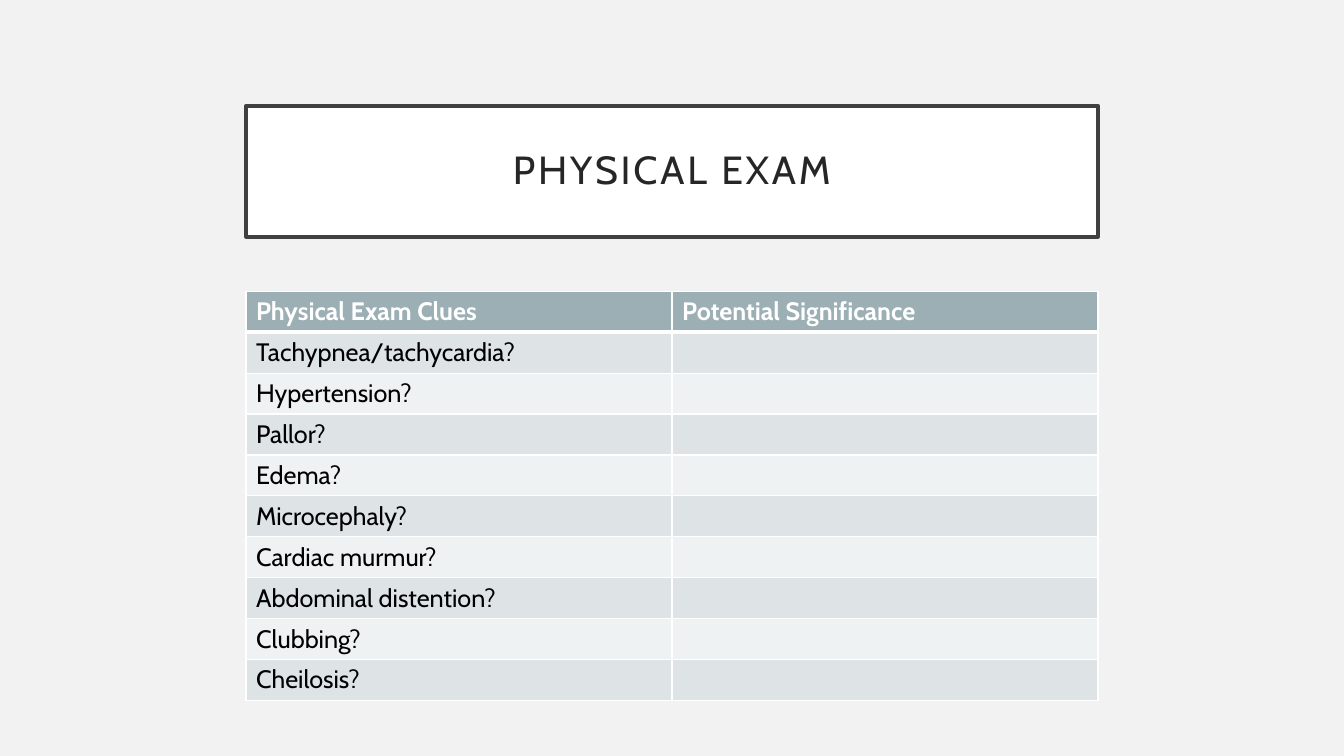
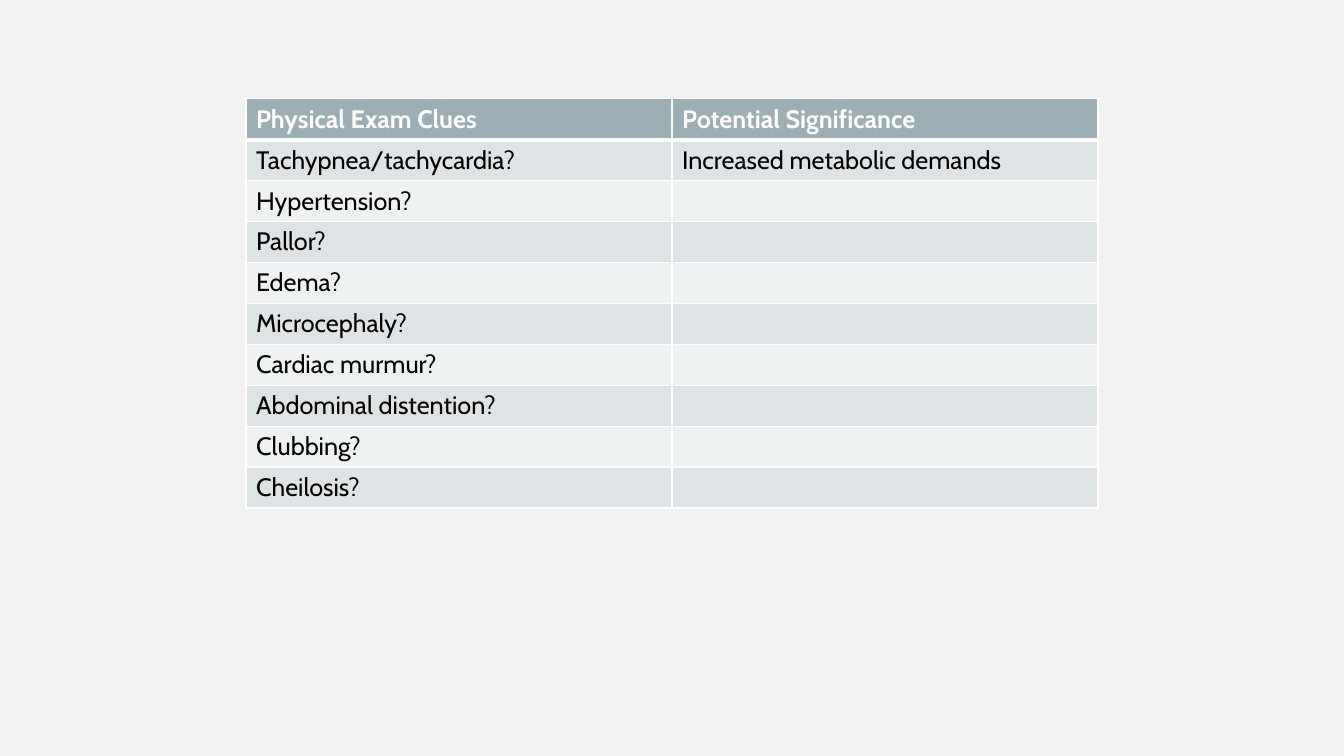
"""Build two slides on physical exam clues and their potential significance."""
from lxml import etree
from pptx import Presentation
from pptx.dml.color import RGBColor
from pptx.enum import text
from pptx.oxml import ns
from pptx.util import Inches, Pt

FONT = "Cabin"
BACKGROUND = RGBColor(0xF2, 0xF2, 0xF2)
WHITE = RGBColor(0xFF, 0xFF, 0xFF)
BLACK = RGBColor(0x00, 0x00, 0x00)
TITLE_INK = RGBColor(0x26, 0x26, 0x26)
TITLE_FRAME = RGBColor(0x40, 0x40, 0x40)
HEADER_FILL = RGBColor(0x9B, 0xAF, 0xB5)
BAND_FILLS = (RGBColor(0xEF, 0xF2, 0xF3), RGBColor(0xDE, 0xE3, 0xE5))

LEFT, WIDTH = Inches(2.44), Inches(8.45)
TABLE_HEIGHT = Inches(4.06)
TITLE_ONLY, BLANK = 5, 6

HEADINGS = ("Physical Exam Clues", "Potential Significance")
CLUES = (
    "Tachypnea/tachycardia?",
    "Hypertension?",
    "Pallor?",
    "Edema?",
    "Microcephaly?",
    "Cardiac murmur?",
    "Abdominal distention?",
    "Clubbing?",
    "Cheilosis?",
)


def set_font(paragraph, size, color, bold=False):
    """Give a paragraph its typeface, size, colour and weight."""
    font = paragraph.font
    font.name, font.size, font.bold = FONT, Pt(size), bold
    font.color.rgb = color


def add_title(slide, wording):
    """Place the framed title box."""
    title = slide.shapes.title
    title.left, title.top = LEFT, Inches(1.05)
    title.width, title.height = WIDTH, Inches(1.3)
    title.fill.solid()
    title.fill.fore_color.rgb = WHITE
    title.line.color.rgb = TITLE_FRAME
    title.line.width = Pt(2.5)
    frame = title.text_frame
    frame.word_wrap = True
    frame.auto_size = text.MSO_AUTO_SIZE.NONE
    frame.vertical_anchor = text.MSO_ANCHOR.MIDDLE
    frame.margin_left = frame.margin_right = Inches(0.2)
    frame.margin_top = frame.margin_bottom = Inches(0.2)
    paragraph = frame.paragraphs[0]
    paragraph.alignment = text.PP_ALIGN.CENTER
    paragraph.line_spacing = 0.9
    run = paragraph.add_run()
    run.text = wording
    run._r.get_or_add_rPr().set("spc", "200")
    set_font(paragraph, 28, TITLE_INK)


def set_borders(cell, top, bottom):
    """Draw white borders round a cell, with 1 pt sides."""
    properties = cell._tc.get_or_add_tcPr()
    for side, width in (("L", 1), ("R", 1), ("T", top), ("B", bottom)):
        border = etree.SubElement(properties, ns.qn(f"a:ln{side}"), w=str(Pt(width)))
        fill = etree.SubElement(border, ns.qn("a:solidFill"))
        etree.SubElement(fill, ns.qn("a:srgbClr"), val=str(WHITE))


def style_cell(cell, row):
    """Style a cell as heading or banded body according to its row."""
    heading = row == 0
    set_borders(cell, top=3 if row == 1 else 1, bottom=3 if heading else 1)
    cell.fill.solid()
    cell.fill.fore_color.rgb = HEADER_FILL if heading else BAND_FILLS[row % 2]
    set_font(cell.text_frame.paragraphs[0], 18, WHITE if heading else BLACK, heading)


def add_clue_table(slide, top, significance):
    """Add the table of clues, filling in the significance known so far."""
    rows = [HEADINGS] + [(clue, significance.get(clue, "")) for clue in CLUES]
    table = slide.shapes.add_table(
        len(rows), len(HEADINGS), LEFT, top, WIDTH, TABLE_HEIGHT
    ).table
    for row, wordings in enumerate(rows):
        for column, wording in enumerate(wordings):
            cell = table.cell(row, column)
            cell.text = wording
            style_cell(cell, row)


def main():
    """Build and save the presentation."""
    deck = Presentation()
    deck.slide_width, deck.slide_height = Inches(13.33), Inches(7.5)
    backdrop = deck.slide_master.background.fill
    backdrop.solid()
    backdrop.fore_color.rgb = BACKGROUND

    questions = deck.slides.add_slide(deck.slide_layouts[TITLE_ONLY])
    add_title(questions, "PHYSICAL EXAM")
    add_clue_table(questions, Inches(2.89), {})

    first_answer = deck.slides.add_slide(deck.slide_layouts[BLANK])
    add_clue_table(
        first_answer, Inches(0.98), {CLUES[0]: "Increased metabolic demands"}
    )
    deck.save("out.pptx")


if __name__ == "__main__":
    main()
